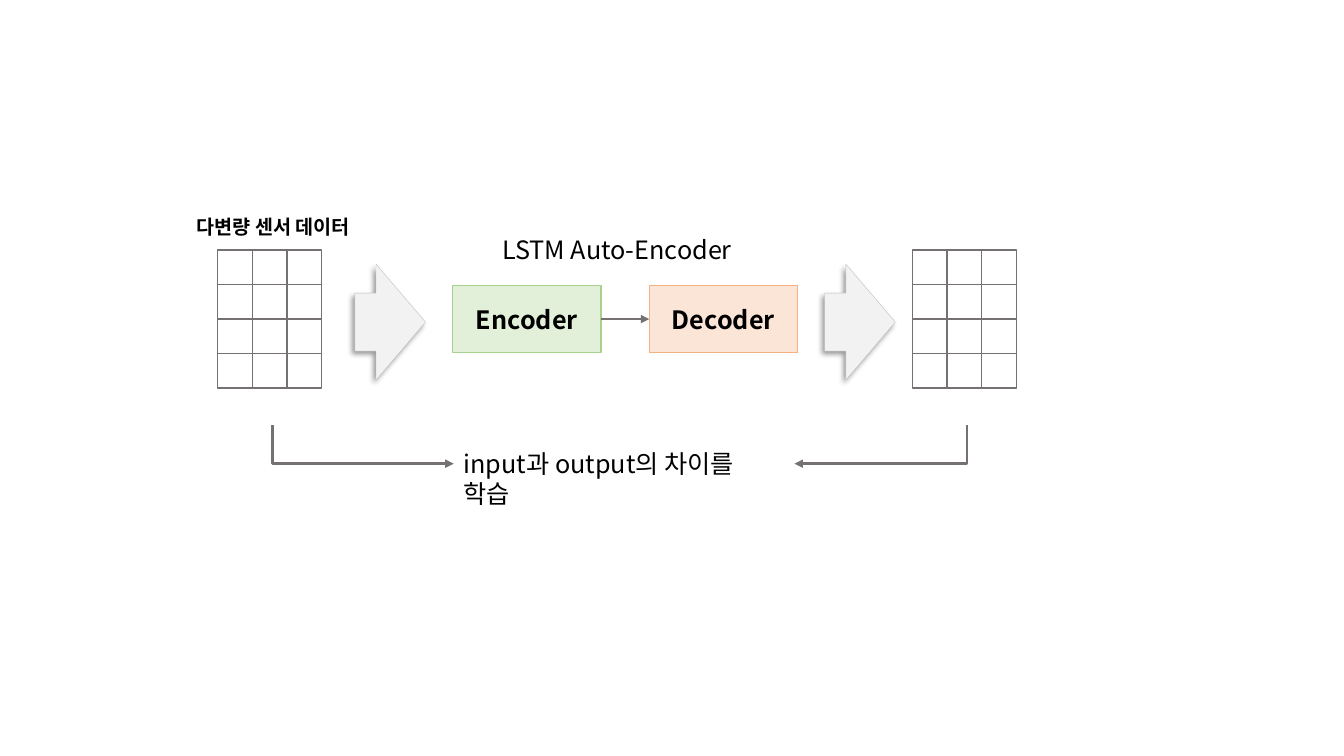
import pptx
import pptx.util
import pptx.oxml
import pptx.oxml.ns
import pptx.dml.color
import pptx.enum.shapes
import pptx.enum.text
from lxml import etree

Inches = pptx.util.Inches
Pt = pptx.util.Pt
RGBColor = pptx.dml.color.RGBColor
qn = pptx.oxml.ns.qn
Shape = pptx.enum.shapes.MSO_SHAPE
Connector = pptx.enum.shapes.MSO_CONNECTOR
Align = pptx.enum.text.PP_ALIGN
Anchor = pptx.enum.text.MSO_ANCHOR

BLACK = RGBColor(0x00, 0x00, 0x00)
WHITE = RGBColor(0xFF, 0xFF, 0xFF)
GRAY = RGBColor(0x76, 0x71, 0x71)
ARROW_FILL = RGBColor(0xF2, 0xF2, 0xF2)
ARROW_LINE = RGBColor(0xBF, 0xBF, 0xBF)
GREEN_FILL = RGBColor(0xE2, 0xF0, 0xD9)
GREEN_LINE = RGBColor(0xA9, 0xD1, 0x8E)
ORANGE_FILL = RGBColor(0xFB, 0xE5, 0xD6)
ORANGE_LINE = RGBColor(0xF4, 0xB1, 0x83)


class SlideBuilder:
    font_name = "Noto Sans CJK KR"
    grid_columns, grid_rows = 3, 4
    grid_width, grid_height = 1.03, 1.37

    def __init__(self, slide):
        self.slide = slide

    def add_text(self, text_frame, text, size, bold, align):
        paragraph = text_frame.paragraphs[0]
        paragraph.alignment = align
        run = paragraph.add_run()
        run.text = text
        run.font.size = Pt(size)
        run.font.bold = bold
        run.font.color.rgb = BLACK
        run.font.name = self.font_name
        east_asian = etree.SubElement(run.font._element, qn("a:ea"))
        east_asian.set("typeface", self.font_name)

    def label(self, left, top, width, height, text, size=18, bold=False, align=Align.LEFT):
        box = self.slide.shapes.add_textbox(
            Inches(left), Inches(top), Inches(width), Inches(height))
        box.text_frame.word_wrap = True
        self.add_text(box.text_frame, text, size, bold, align)

    def shape(self, shapes, kind, left, top, width, height, fill, line, line_width=1):
        shape = shapes.add_shape(
            kind, Inches(left), Inches(top), Inches(width), Inches(height))
        shape.shadow.inherit = False
        shape.fill.solid()
        shape.fill.fore_color.rgb = fill
        shape.line.color.rgb = line
        shape.line.width = Pt(line_width)
        return shape

    def block(self, left, text, fill, line):
        block = self.shape(self.slide.shapes, Shape.RECTANGLE, left, 2.83, 1.47, 0.67, fill, line)
        block.text_frame.vertical_anchor = Anchor.MIDDLE
        self.add_text(block.text_frame, text, 18, True, Align.CENTER)
        return block

    def grid(self, left, top):
        width = self.grid_width / self.grid_columns
        height = self.grid_height / self.grid_rows
        for column in range(self.grid_columns):
            group = self.slide.shapes.add_group_shape()
            for row in range(self.grid_rows):
                self.shape(group.shapes, Shape.RECTANGLE, left + column * width,
                           top + row * height, width, height, WHITE, GRAY)

    def block_arrow(self, left):
        arrow = self.shape(self.slide.shapes, Shape.RIGHT_ARROW, left, 2.62, 0.7, 1.15,
                           ARROW_FILL, ARROW_LINE, 0.25)
        arrow.adjustments[0] = 0.5
        arrow.adjustments[1] = 0.7
        effects = arrow._element.spPr.find(qn("a:effectLst"))
        shadow = etree.SubElement(effects, qn("a:outerShdw"), blurRad=str(Pt(4)),
                                  dist=str(Pt(3)), dir=str(135 * 60000),
                                  algn="tr", rotWithShape="0")
        color = etree.SubElement(shadow, qn("a:srgbClr"), val=str(BLACK))
        etree.SubElement(color, qn("a:alpha"), val="40000")

    def connector(self, kind, left, top, right, bottom):
        connector = self.slide.shapes.add_connector(
            kind, Inches(left), Inches(top), Inches(right), Inches(bottom))
        connector.line.color.rgb = GRAY
        connector.line.width = Pt(2)
        line = connector._element.spPr.find(qn("a:ln"))
        etree.SubElement(line, qn("a:tailEnd"), type="triangle")
        etree.SubElement(connector._element.spPr, qn("a:effectLst"))
        return connector

    def link(self, source, target):
        connector = self.connector(Connector.STRAIGHT, 5.96, 3.17, 6.44, 3.17)
        connector.begin_connect(source, 3)
        connector.end_connect(target, 1)

    def corner_arrow(self, start_x, end_x, top, bottom):
        drop, run = bottom - top, abs(end_x - start_x)
        left = (start_x + end_x - drop) / 2
        upper = (top + bottom - run) / 2
        connector = self.connector(Connector.ELBOW, left, upper, left + drop, upper + run)
        properties = connector._element.spPr
        properties.find(qn("a:prstGeom")).set("prst", "bentConnector2")
        transform = properties.find(qn("a:xfrm"))
        rightward = end_x > start_x
        transform.set("rot", str((270 if rightward else 90) * 60000))
        if rightward:
            transform.set("flipH", "1")


def main():
    presentation = pptx.Presentation()
    presentation.slide_width = Inches(13.33)
    presentation.slide_height = Inches(7.5)
    builder = SlideBuilder(presentation.slides.add_slide(presentation.slide_layouts[6]))

    builder.label(4.73, 2.28, 2.78, 0.4, "LSTM Auto-Encoder", align=Align.CENTER)
    for left in (2.16, 9.05):
        builder.grid(left, 2.48)
    encoder = builder.block(4.49, "Encoder", GREEN_FILL, GREEN_LINE)
    decoder = builder.block(6.44, "Decoder", ORANGE_FILL, ORANGE_LINE)
    for left in (3.52, 8.18):
        builder.block_arrow(left)
    builder.link(encoder, decoder)
    for start_x, end_x in ((2.7, 4.5), (9.59, 7.88)):
        builder.corner_arrow(start_x, end_x, 4.22, 4.6)
    builder.label(4.5, 4.4, 3.37, 0.4, "input과 output의 차이를 학습")
    builder.label(1.85, 2.08, 1.73, 0.34, "다변량 센서 데이터", size=14, bold=True)
    presentation.save("out.pptx")


if __name__ == "__main__":
    main()
